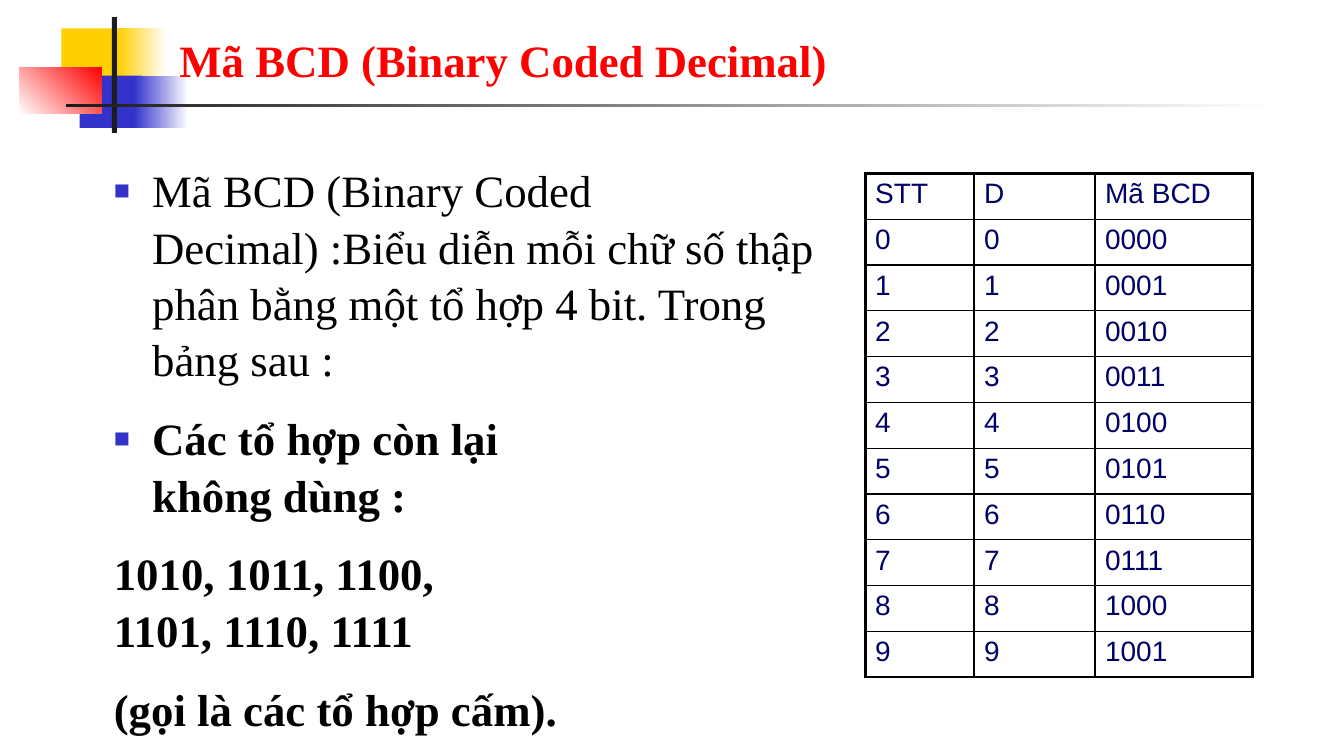
from collections import namedtuple

from lxml.etree import SubElement
from pptx import Presentation
from pptx.dml.color import RGBColor
from pptx.enum.shapes import MSO_SHAPE as Preset
from pptx.enum.text import MSO_ANCHOR as Anchor, PP_ALIGN as Align
from pptx.oxml.ns import qn
from pptx.util import Inches, Pt

SERIF, SANS = "Times New Roman", "Arial"
YELLOW, BLUE, RED, DARK, WHITE = "FFCF01", "3333CC", "FF0000", "1C1C1C", "FFFFFF"
BLACK, NAVY = "000000", "000066"
HANG = Inches(0.38)


class Box(namedtuple("Box", "left top width height")):
    def area(self, x, y, w, h):
        """Return the inner box given in percent of this one."""
        return Box(int(self.left + self.width * x / 100), int(self.top + self.height * y / 100),
                   int(self.width * w / 100), int(self.height * h / 100))


def color(hex_code):
    return RGBColor.from_string(hex_code)


def write(paragraph, text, size=32, font=SERIF, ink=BLACK, bold=False,
          before=0, spacing=None, indent=0, hang=0, bullet=None):
    paragraph.text = text
    paragraph.alignment = Align.LEFT
    paragraph.space_before = Pt(before)
    if spacing:
        paragraph.line_spacing = spacing
    props = paragraph._p.get_or_add_pPr()
    props.set("marL", str(indent))
    props.set("indent", str(-hang))
    if bullet:
        SubElement(SubElement(props, qn("a:buClr")), qn("a:srgbClr"), val=bullet)
        SubElement(props, qn("a:buSzPct"), val="60000")
        SubElement(props, qn("a:buFont"), typeface=SANS)
        SubElement(props, qn("a:buChar"), char="■")
    for run in paragraph.runs:
        run.font.name, run.font.size, run.font.bold = font, Pt(size), bold
        run.font.color.rgb = color(ink)


def block(slide, box, start, end=None, angle=0):
    """Draw a rectangle, filled plainly or with a gradient from start to end."""
    shape = slide.shapes.add_shape(Preset.RECTANGLE, *box)
    shape.shadow.inherit = False
    shape.line.fill.background()
    if end is None:
        shape.fill.solid()
        shape.fill.fore_color.rgb = color(start)
        return
    shape.fill.gradient()
    shape.fill.gradient_angle = angle
    for stop, shade in zip(shape.fill.gradient_stops, (start, end)):
        stop.color.rgb = color(shade)


def ornament(slide, box):
    for x, y, solid_width, fade_x, fade_width, shade in (
            (3.37, 9.57, 5.14, 7.87, 3.85, YELLOW),
            (4.82, 50.43, 4.98, 9.15, 4.33, BLUE)):
        block(slide, box.area(x, y, solid_width, 45.22), shade)
        block(slide, box.area(fade_x, y, fade_width, 45.22), shade, WHITE)
    block(slide, box.area(0, 43.48, 6.58, 40), WHITE, RED, angle=45)
    block(slide, box.area(7.38, 0, 0.4, 100), DARK)
    block(slide, box.area(3.69, 74.78, 96.31, 2.61), DARK, WHITE)


def heading(slide, box, text):
    title = slide.shapes.title
    title.left, title.top, title.width, title.height = box
    title.text_frame.vertical_anchor = Anchor.BOTTOM
    write(title.text_frame.paragraphs[0], text, ink=RED, bold=True)
    slide.shapes.element.append(title.element)  # in front of the ornament


def explanation(slide, box):
    frame = slide.shapes.add_textbox(*box).text_frame
    frame.word_wrap = True
    hanging = dict(indent=HANG, hang=HANG)
    points = (
        ("Mã BCD (Binary Coded Decimal) :Biểu diễn mỗi chữ số thập phân "
         "bằng một tổ hợp 4 bit. Trong bảng sau :", dict(hanging, bullet=BLUE)),
        ("Các tổ hợp còn lại \vkhông dùng :",
         dict(hanging, bullet=BLUE, bold=True, before=16)),
        ("1010, 1011, 1100, \v1101, 1110, 1111", dict(bold=True, before=16)),
        ("(gọi là các tổ hợp cấm).", dict(hanging, bold=True, before=16)),
    )
    for index, (text, style) in enumerate(points):
        paragraph = frame.add_paragraph() if index else frame.paragraphs[0]
        write(paragraph, text, spacing=1.05, **style)


def border(cell, outer_sides):
    props = cell._tc.get_or_add_tcPr()
    for side in "LRTB":
        width = Pt(2.25 if side in outer_sides else 1)
        line = SubElement(props, qn("a:ln" + side), w=str(width))
        SubElement(SubElement(line, qn("a:solidFill")), qn("a:srgbClr"), val=BLACK)


def code_table(slide, box):
    rows = [("STT", "D", "Mã BCD")]
    rows += [(str(digit), str(digit), f"{digit:04b}") for digit in range(10)]
    shares = (28.13, 31.25, 40.62)
    table = slide.shapes.add_table(len(rows), len(shares), *box).table
    table.first_row = table.horz_banding = False
    for column, share in zip(table.columns, shares):
        column.width = int(box.width * share / 100)
    for row in table.rows:
        row.height = box.height // len(rows)
    for r, row in enumerate(rows):
        for c, text in enumerate(row):
            cell = table.cell(r, c)
            edges = {"L": c == 0, "R": c == len(row) - 1,
                     "T": r == 0, "B": r == len(rows) - 1}
            border(cell, [side for side, outer in edges.items() if outer])
            cell.fill.background()
            write(cell.text_frame.paragraphs[0], text, size=20, font=SANS, ink=NAVY)


def main():
    deck = Presentation()
    deck.slide_width, deck.slide_height = Inches(13.33), Inches(7.5)
    page = Box(0, 0, deck.slide_width, deck.slide_height)
    slide = deck.slides.add_slide(deck.slide_layouts[5])
    ornament(slide, page.area(1.43, 2.27, 93.45, 15.33))
    heading(slide, page.area(12.6, 3.07, 85.22, 9.07), "Mã BCD (Binary Coded Decimal)")
    explanation(slide, page.area(7.73, 20.53, 56.71, 77.2))
    code_table(slide, page.area(64.37, 22.93, 28.8, 66.67))
    deck.save("out.pptx")


if __name__ == "__main__":
    main()
